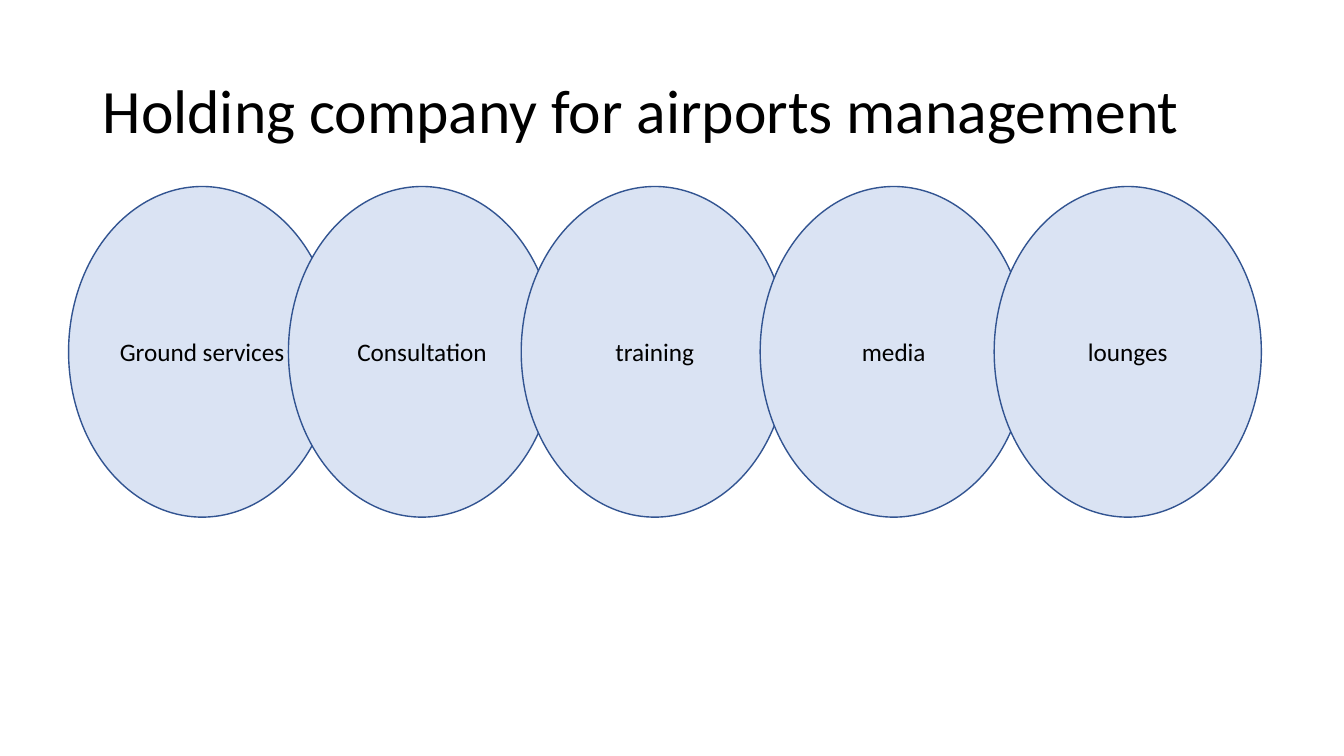
import pptx
import pptx.util
import pptx.dml.color
import pptx.enum.shapes
import pptx.enum.text


def color(hex_value):
    return pptx.dml.color.RGBColor.from_string(hex_value)


class Deck:
    font = "Calibri"
    ink = "000000"
    fill = "DAE3F3"
    outline = "325491"

    def __init__(self, width, height):
        self.prs = pptx.Presentation()
        self.prs.slide_width = pptx.util.Inches(width)
        self.prs.slide_height = pptx.util.Inches(height)
        self.s = self.prs.slides.add_slide(self.prs.slide_layouts[6])

    def box(self, left, top, width, height):
        col = self.prs.slide_width / 100
        row = self.prs.slide_height / 100
        return [round(v) for v in (left * col, top * row, width * col, height * row)]

    def label(self, sp, text, size, align):
        tf = sp.text_frame
        tf.word_wrap = True
        tf.vertical_anchor = pptx.enum.text.MSO_ANCHOR.MIDDLE
        p = tf.paragraphs[0]
        p.text = text
        p.alignment = align
        p.font.name = self.font
        p.font.size = pptx.util.Pt(size)
        p.font.color.rgb = color(self.ink)
        return p

    def title(self, text, *area):
        sp = self.s.shapes.add_textbox(*self.box(*area))
        p = self.label(sp, text, 44, pptx.enum.text.PP_ALIGN.JUSTIFY)
        p.line_spacing = 0.9

    def ellipse(self, text, *area):
        sp = self.s.shapes.add_shape(
            pptx.enum.shapes.MSO_SHAPE.OVAL, *self.box(*area))
        sp.shadow.inherit = False
        sp.fill.solid()
        sp.fill.fore_color.rgb = color(self.fill)
        sp.line.color.rgb = color(self.outline)
        sp.line.width = pptx.util.Pt(1)
        self.label(sp, text, 18, pptx.enum.text.PP_ALIGN.CENTER)


def main():
    deck = Deck(13.33, 7.5)
    deck.title("Holding company for airports management", 6.9, 5.33, 86.27, 19.33)
    services = [
        ("Ground services", 5.1),
        ("Consultation", 21.46),
        ("training", 38.78),
        ("media", 56.56),
        ("lounges", 73.97),
    ]
    for name, left in services:
        deck.ellipse(name, left, 24.67, 19.88, 43.73)
    deck.prs.save("out.pptx")


if __name__ == "__main__":
    main()
